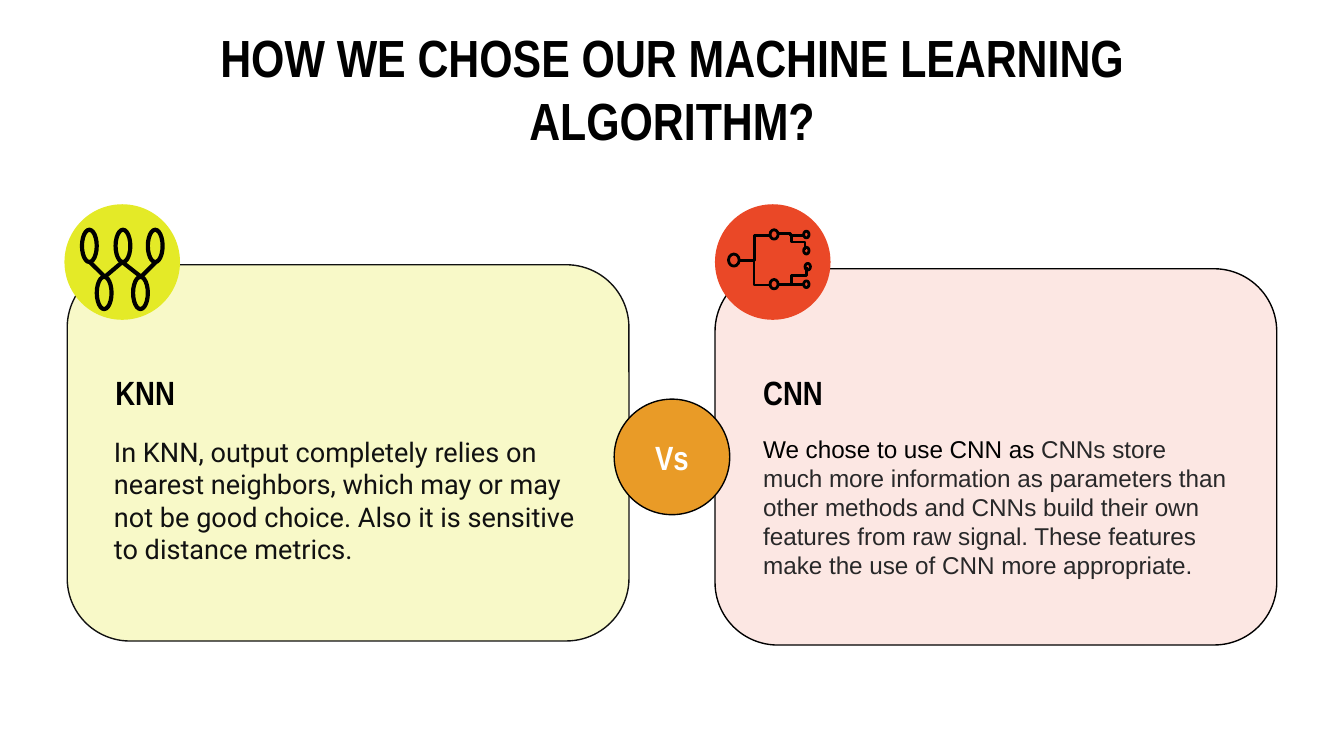
from lxml.etree import SubElement
from pptx import Presentation
from pptx.dml.color import RGBColor
from pptx.enum.shapes import MSO_CONNECTOR, MSO_SHAPE
from pptx.enum.text import MSO_ANCHOR, MSO_AUTO_SIZE, PP_ALIGN
from pptx.oxml.ns import qn
from pptx.util import Pt

PX = 9144
PAGE_WIDTH = 1000
BLACK = RGBColor(0x00, 0x00, 0x00)
INK = RGBColor(0x11, 0x11, 0x11)
GRAPHITE = RGBColor(0x28, 0x28, 0x29)
WHITE = RGBColor(0xFF, 0xFF, 0xFF)
LIME = RGBColor(0xE4, 0xEA, 0x27)
RED = RGBColor(0xEA, 0x48, 0x27)
ORANGE = RGBColor(0xE9, 0x9B, 0x27)

TITLE = "HOW WE CHOSE OUR MACHINE LEARNING ALGORITHM?"
TITLE_FONT = {"name": "Arial Narrow", "size": Pt(28), "bold": True}
HEADING_FONT = {"name": "Arial Narrow", "size": Pt(18), "bold": True}
BADGE = 86

CARDS = [
    {"heading": "CNN", "card_at": (532, 200), "badge_at": (532, 152),
     "heading_at": (558, 274), "body_at": (558, 313),
     "color": RED, "opacity": 13, "outline": BLACK,
     "font": {"name": "Arial", "size": Pt(13)},
     "body": [("We chose to use CNN as ", BLACK),
              ("CNNs store much more information as parameters than other "
               "methods and CNNs build their own features from raw signal. "
               "These features make the use of CNN more appropriate.", GRAPHITE)]},
    {"heading": "KNN", "card_at": (50, 197), "badge_at": (48, 152),
     "heading_at": (76, 274), "body_at": (75, 314),
     "color": LIME, "opacity": 25, "outline": INK,
     "font": {"name": "Roboto", "size": Pt(14.5)},
     "body": [("In KNN, output completely relies on nearest neighbors, which "
               "may or may not be good choice. Also it is sensitive to "
               "distance metrics.", INK)]},
]

CIRCUIT_NODES = [
    (542, 189, 8, 9), (573, 171, 6, 7), (573, 208, 6, 7), (598, 172, 4, 5),
    (598, 184, 4, 5), (599, 196, 4, 5), (598, 209, 4, 5),
]
CIRCUIT_WIRES = [
    (549, 194, 574, 175), (549, 194, 573, 212),
    (578, 174, 598, 175), (578, 212, 598, 212),
]
CIRCUIT_STEPS = [
    [(589, 174), (589, 180), (599, 180), (599, 186)],
    [(589, 211), (589, 205), (600, 205), (600, 199)],
]
NEIGHBOR_NODES = [(left, 171, 11, 24) for left in (61, 86, 110)]
NEIGHBOR_NODES += [(left, 206, 11, 24) for left in (72, 99)]
NEIGHBOR_LINKS = [(67, 195), (78, 206), (91, 195), (105, 206), (116, 195)]

deck = Presentation()
deck.slide_width = PAGE_WIDTH * PX
deck.slide_height = deck.slide_width * 9 // 16
page = deck.slides.add_slide(deck.slide_layouts[5])


def scaled(lengths):
    return [length * PX for length in lengths]


def paint(shape, fill=None, line=None, width=0.75, opacity=100):
    shape.shadow.inherit = False
    if fill is None:
        shape.fill.background()
    else:
        shape.fill.solid()
        shape.fill.fore_color.rgb = fill
        if opacity < 100:
            color = shape._element.spPr.find(qn("a:solidFill")).find(qn("a:srgbClr"))
            SubElement(color, qn("a:alpha"), val=str(opacity * 1000))
    if line is None:
        shape.line.fill.background()
    else:
        shape.line.color.rgb = line
        shape.line.width = Pt(width)


def add_figure(kind, area, **look):
    shape = page.shapes.add_shape(kind, *scaled(area))
    paint(shape, **look)
    return shape


def add_wire(kind, ends, width):
    wire = page.shapes.add_connector(kind, *scaled(ends))
    wire.line.color.rgb = BLACK
    wire.line.width = Pt(width)
    SubElement(wire._element.spPr, qn("a:effectLst"))


def write(shape, spans, font, anchor=MSO_ANCHOR.MIDDLE, align=PP_ALIGN.LEFT):
    frame = shape.text_frame
    settings = {"word_wrap": True, "auto_size": MSO_AUTO_SIZE.NONE,
                "vertical_anchor": anchor}
    for side in ("left", "top", "right", "bottom"):
        settings["margin_" + side] = 10 * PX
    for name, value in settings.items():
        setattr(frame, name, value)
    para = frame.paragraphs[0]
    para.alignment = align
    for text, color in spans:
        span = para.add_run()
        span.text = text
        span.font.color.rgb = color
        for name, value in font.items():
            setattr(span.font, name, value)


title = page.shapes.title
title.left, title.top, title.width, title.height = scaled((50, 45, 900, 41))
write(title, [(TITLE, BLACK)], TITLE_FONT, align=PP_ALIGN.CENTER)

for card in CARDS:
    add_figure(MSO_SHAPE.ROUNDED_RECTANGLE, (*card["card_at"], 418, 280),
               fill=card["color"], opacity=card["opacity"], line=card["outline"])
    add_figure(MSO_SHAPE.OVAL, (*card["badge_at"], BADGE, BADGE), fill=card["color"])
    heading = page.shapes.add_textbox(*scaled((*card["heading_at"], 231, 36)))
    write(heading, [(card["heading"], BLACK)], HEADING_FONT)
    body = page.shapes.add_textbox(*scaled((*card["body_at"], 366, 124)))
    write(body, card["body"], card["font"], anchor=MSO_ANCHOR.TOP)

versus = add_figure(MSO_SHAPE.OVAL, (457, 297, BADGE, BADGE), fill=ORANGE, line=BLACK)
write(versus, [("Vs", WHITE)], HEADING_FONT, align=PP_ALIGN.CENTER)

for ends in CIRCUIT_WIRES:
    level = ends[1] == ends[3]
    add_wire(MSO_CONNECTOR.STRAIGHT if level else MSO_CONNECTOR.ELBOW, ends, 1.5)
for start, *corners in CIRCUIT_STEPS:
    builder = page.shapes.build_freeform(*start, scale=PX)
    builder.add_line_segments(corners, close=False)
    paint(builder.convert_to_shape(), line=BLACK, width=1.5)
for start, end in zip(NEIGHBOR_LINKS, NEIGHBOR_LINKS[1:]):
    add_wire(MSO_CONNECTOR.STRAIGHT, start + end, 2.25)
for nodes, width in ((CIRCUIT_NODES, 1.5), (NEIGHBOR_NODES, 2.25)):
    for area in nodes:
        add_figure(MSO_SHAPE.OVAL, area, line=BLACK, width=width)

deck.save("out.pptx")
